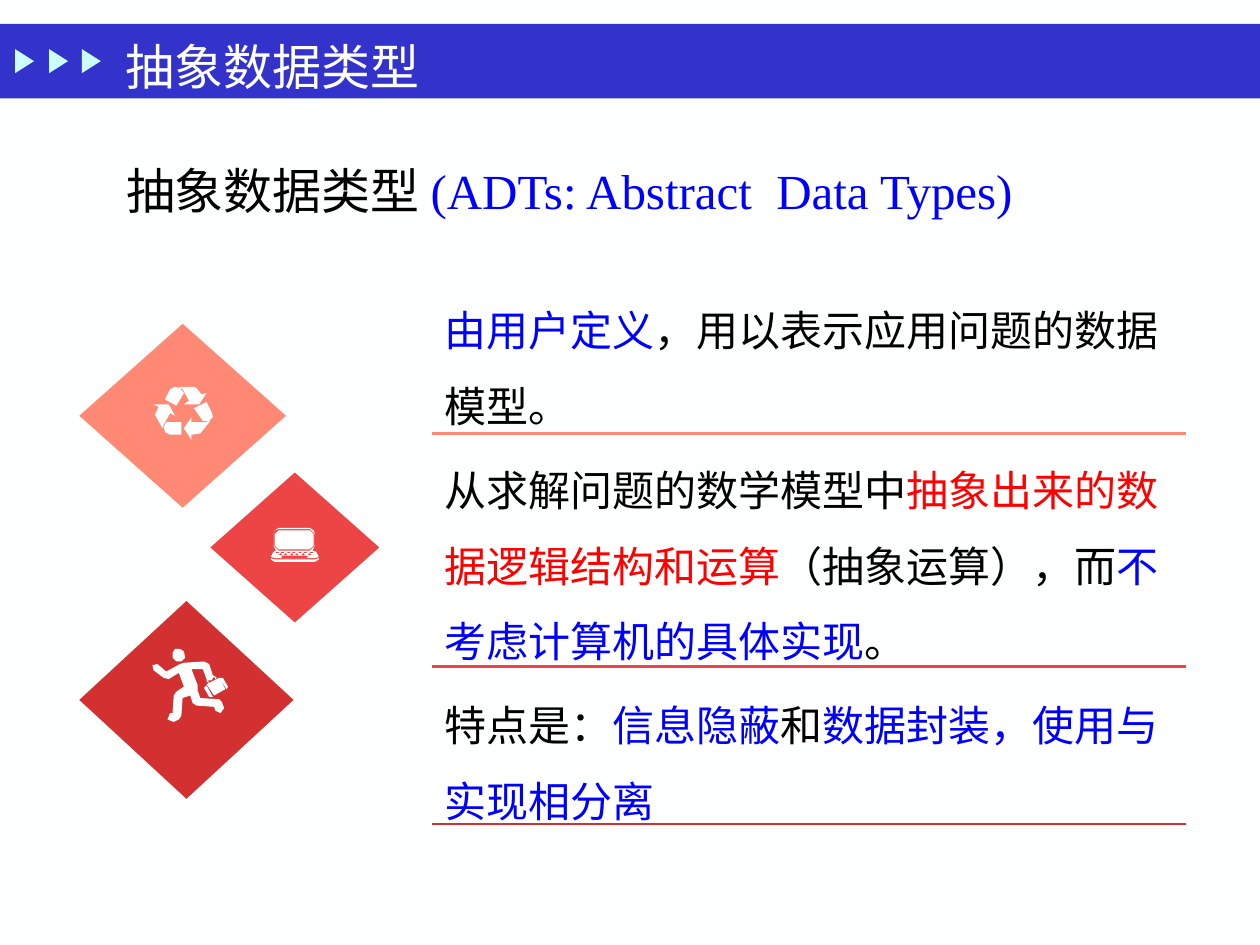
from typing import NamedTuple

import lxml.etree
import pptx
import pptx.dml.color
import pptx.enum.shapes
import pptx.enum.text
import pptx.oxml.ns
import pptx.util

Inches, Pt = pptx.util.Inches, pptx.util.Pt
MSO = pptx.enum.shapes.MSO_SHAPE
ANCHOR = pptx.enum.text.MSO_ANCHOR
FONT = "Times New Roman"
WHITE, BLACK, BLUE, RED = "FEFFFF", "000000", "0000FF", "FF0000"
CORAL, ROSE, CRIMSON = "FF8975", "ED4545", "D33131"


class Box(NamedTuple):
    left: float
    top: float
    width: float
    height: float


class Diamond(NamedTuple):
    box: Box
    color: str


class Rule(NamedTuple):
    y: float
    color: str


class Run(NamedTuple):
    text: str
    color: str


Contours = list[list[tuple[int, int]]]

DIAMONDS = [
    Diamond(Box(0.63, 2.57, 1.64, 1.46), CORAL),
    Diamond(Box(0.63, 4.77, 1.7, 1.57), CRIMSON),
    Diamond(Box(1.67, 3.75, 1.34, 1.19), ROSE),
]
RULES = [Rule(3.44, CORAL), Rule(5.29, ROSE), Rule(6.54, CRIMSON)]
TITLE = [Run("抽象数据类型 ", BLACK), Run("(ADTs: Abstract  Data Types)", BLUE)]
BODY = [
    [Run("由用户定义", BLUE), Run("，用以表示应用问题的数据模型。", BLACK)],
    [
        Run("从求解问题的数学模型中", BLACK),
        Run("抽象出来的数据逻辑结构和运算", RED),
        Run("（抽象运算），而", BLACK),
        Run("不考虑计算机的具体实现", BLUE),
        Run("。", BLACK),
    ],
    [
        Run("特点是：", BLACK),
        Run("信息隐蔽", BLUE),
        Run("和", BLACK),
        Run("数据封装，使用与实现相分离", BLUE),
    ],
]

RECYCLE: Contours = [
    [(139, 307), (135, 309), (131, 317), (140, 322), (146, 312), (143, 308)],
    [(160, 313), (156, 308), (154, 307), (142, 307), (145, 309), (150, 318),
     (146, 321), (158, 321), (164, 312)],
    [(131, 343), (135, 345), (144, 345), (144, 335), (132, 335), (130, 339)],
    [(126, 323), (123, 329), (129, 340), (130, 337), (135, 328), (139, 330),
     (134, 321), (122, 321)],
    [(169, 331), (168, 327), (164, 319), (154, 324), (161, 334), (166, 334)],
    [(152, 345), (159, 344), (167, 334), (163, 335), (152, 335), (152, 331),
     (146, 340), (152, 349)],
]
RUNNER: Contours = [
    [(140, 525), (144, 525), (147, 522), (146, 517), (143, 515), (139, 515),
     (137, 518), (137, 522)],
    [(176, 557), (174, 555), (159, 554), (157, 548), (157, 544), (152, 531),
     (161, 531), (164, 539), (164, 541), (166, 542), (165, 540), (168, 540),
     (170, 537), (171, 539), (172, 538), (171, 537), (169, 536), (166, 527),
     (162, 525), (146, 526), (143, 527), (132, 533), (125, 527), (121, 528),
     (122, 532), (130, 538), (134, 539), (142, 534), (146, 545), (140, 549),
     (138, 552), (137, 566), (135, 566), (133, 571), (138, 573), (142, 571),
     (144, 568), (145, 554), (151, 552), (153, 558), (156, 560), (170, 561),
     (171, 564), (175, 566), (178, 562)],
    [(162, 546), (166, 553), (169, 553), (164, 544)],
    [(164, 543), (170, 552), (179, 547), (174, 538)],
    [(181, 545), (177, 538), (174, 538), (180, 547)],
]
LAPTOP: Contours = [
    [(217, 424), (218, 421), (221, 419), (246, 419), (249, 421), (250, 424),
     (250, 433), (248, 437), (251, 438), (253, 442), (250, 443), (218, 443),
     (215, 442), (217, 438), (219, 437), (217, 433)],
    [(217, 424), (218, 421), (221, 420), (246, 420), (250, 424), (250, 433),
     (246, 437), (221, 437), (217, 433)],
    [(249, 433), (246, 436), (221, 436), (218, 433), (218, 424), (221, 421),
     (246, 421), (249, 424)],
    [(215, 443), (218, 444), (250, 444), (253, 443), (253, 444), (250, 446),
     (218, 446), (215, 444)],
    [(224, 441), (243, 441), (245, 442), (243, 443), (224, 443), (223, 442)],
    *[[(x, 438), (x + 3, 438), (x + 2, 439), (x, 439)] for x in (219, 223, 228, 232, 237, 241, 246)],
    *[[(x, 440), (x + 2, 439), (x + 3, 440), (x + 2, 441)] for x in (221, 225, 230, 234, 239, 244)],
]


def rgb(color: str) -> pptx.dml.color.RGBColor:
    """Turn a hex string into a colour."""
    return pptx.dml.color.RGBColor.from_string(color)


def paint(sp, color: str) -> None:
    """Give a shape a flat fill with no outline or shadow."""
    sp.shadow.inherit = False
    sp.fill.solid()
    sp.fill.fore_color.rgb = rgb(color)
    sp.line.fill.background()


def place(sp, box: Box) -> None:
    """Move and size a shape."""
    sp.left, sp.top, sp.width, sp.height = map(Inches, box)


def add_preset(s, kind, box: Box, color: str, rotation: float = 0) -> None:
    """Draw a filled preset shape."""
    sp = s.shapes.add_shape(kind, *map(Inches, box))
    sp.rotation = rotation
    paint(sp, color)


def add_icon(s, contours: Contours) -> None:
    """Draw a white icon from contours in hundredths of an inch."""
    fb = s.shapes.build_freeform(*contours[0][0], scale=Inches(0.01))
    fb.add_line_segments(contours[0][1:])
    for contour in contours[1:]:
        fb.move_to(*contour[0])
        fb.add_line_segments(contour[1:])
    paint(fb.convert_to_shape(), WHITE)


def add_rule(s, rule: Rule) -> None:
    """Draw a horizontal line under a point."""
    y = Inches(rule.y)
    cx = s.shapes.add_connector(
        pptx.enum.shapes.MSO_CONNECTOR.STRAIGHT, Inches(3.43), y, Inches(9.41), y)
    cx.line.color.rgb = rgb(rule.color)
    cx.line.width = Pt(1.5)
    lxml.etree.SubElement(cx._element.spPr, pptx.oxml.ns.qn("a:effectLst"))


def add_runs(p, runs: list[Run], size: float) -> None:
    """Write coloured runs into a paragraph."""
    for run in runs:
        r = p.add_run()
        r.text = run.text
        r.font.name = FONT
        r.font.size = Pt(size)
        r.font.color.rgb = rgb(run.color)


def write_heading(sp, runs: list[Run]) -> None:
    """Write a left-aligned, vertically centred heading."""
    tf = sp.text_frame
    tf.word_wrap = True
    tf.auto_size = pptx.enum.text.MSO_AUTO_SIZE.NONE
    tf.vertical_anchor = ANCHOR.MIDDLE
    p = tf.paragraphs[0]
    p.alignment = pptx.enum.text.PP_ALIGN.LEFT
    add_runs(p, runs, 28)


def write_body(sp) -> None:
    """Write the points as unbulleted indented paragraphs."""
    tf = sp.text_frame
    tf.auto_size = pptx.enum.text.MSO_AUTO_SIZE.NONE
    for i, runs in enumerate(BODY):
        p = tf.add_paragraph() if i else tf.paragraphs[0]
        p.level = 1
        p.line_spacing = 1.5
        p.space_before = Pt(4.8 if i else 0)
        pPr = p._p.get_or_add_pPr()
        pPr.set("marL", str(Inches(0.5)))
        pPr.set("indent", "0")
        lxml.etree.SubElement(pPr, pptx.oxml.ns.qn("a:buNone"))
        add_runs(p, runs, 24)


def main() -> None:
    """Build the slide."""
    prs = pptx.Presentation()
    prs.slide_width, prs.slide_height = Inches(10), Inches(7.5)
    s = prs.slides.add_slide(prs.slide_layouts[1])
    s.background.fill.solid()
    s.background.fill.fore_color.rgb = rgb(WHITE)
    title, body = s.placeholders
    place(title, Box(0.9, 0.96, 7.51, 1.1))
    write_heading(title, TITLE)
    place(body, Box(2.93, 2.17, 6.66, 5.12))
    write_body(body)
    add_preset(s, MSO.RECTANGLE, Box(0, 0.19, 10, 0.59), "3333CC")
    for left in (0.1, 0.37, 0.63):
        add_preset(s, MSO.ISOSCELES_TRIANGLE, Box(left, 0.41, 0.19, 0.15), "CBFFFF", 90)
    header = s.shapes.add_textbox(*map(Inches, Box(0.9, 0.21, 3.52, 0.62)))
    write_heading(header, [Run("抽象数据类型", WHITE)])
    for diamond in DIAMONDS:
        add_preset(s, MSO.FLOWCHART_DECISION, diamond.box, diamond.color)
    for icon in (RECYCLE, RUNNER, LAPTOP):
        add_icon(s, icon)
    for rule in RULES:
        add_rule(s, rule)
    prs.save("out.pptx")


if __name__ == "__main__":
    main()
